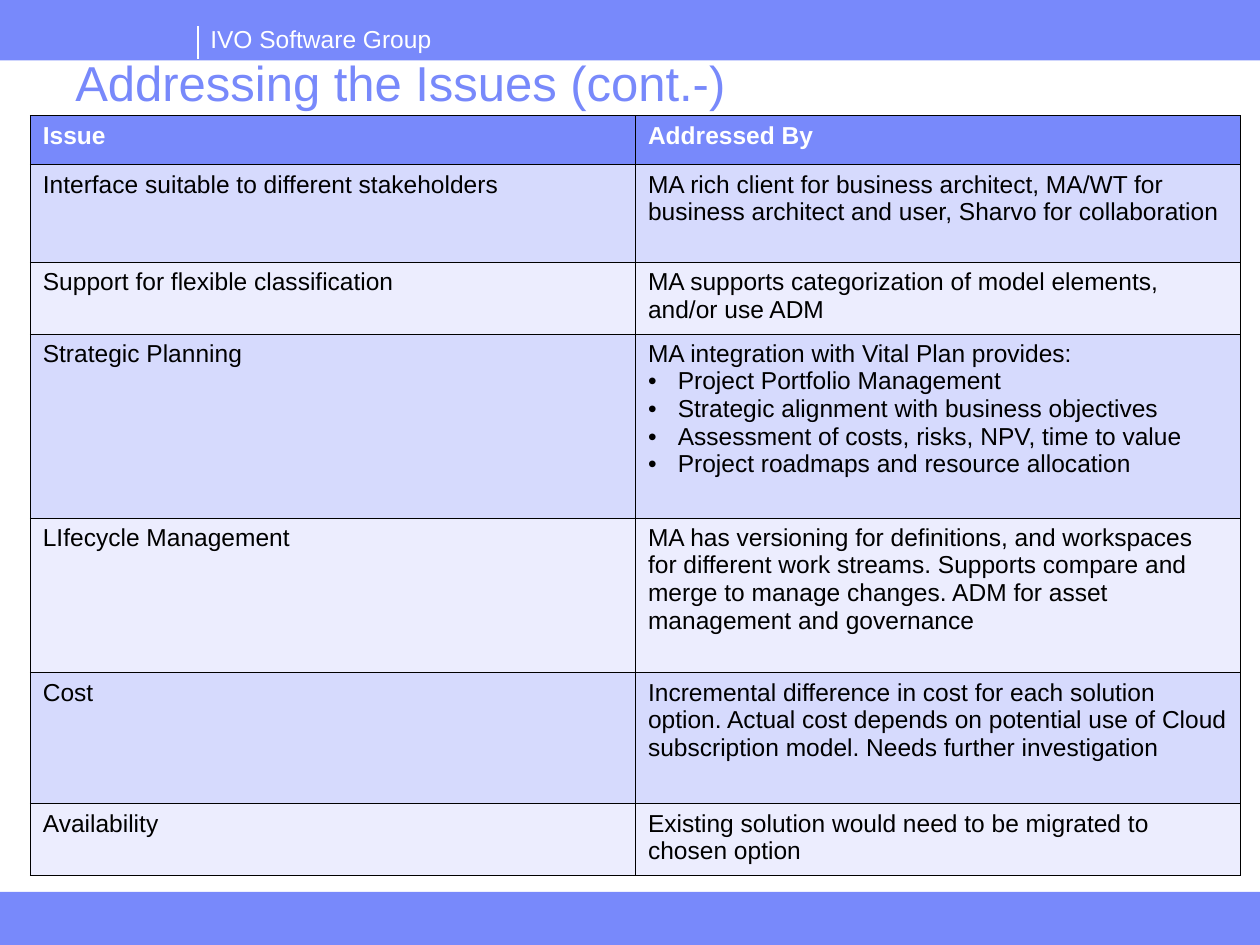
from lxml import etree
from pptx import Presentation
from pptx import util as u
from pptx.dml.color import RGBColor
from pptx.enum import shapes, text
from pptx.oxml.ns import qn

COLORS = {
    "blue": "7889FB",
    "band_dark": "D6DAFD",
    "band_light": "ECEDFE",
    "white": "FFFFFF",
    "black": "000000",
}
FONT = "Arial"
WIDTH, HEIGHT = 25.4, 19.05

HEADER = ["Issue", "Addressed By"]
# Row height in cm, issue, then the paragraphs of the answer
ROWS = [
    (1.96, "Interface suitable to different stakeholders",
     ["MA rich client for business architect, MA/WT for business architect "
      "and user, Sharvo for collaboration"]),
    (1.45, "Support for flexible classification",
     ["MA supports categorization of model elements, and/or use ADM"]),
    (3.71, "Strategic Planning",
     ["MA integration with Vital Plan provides:",
      "• Project Portfolio Management",
      "• Strategic alignment with business objectives",
      "• Assessment of costs, risks, NPV, time to value",
      "• Project roadmaps and resource allocation"]),
    (3.12, "LIfecycle Management",
     ["MA has versioning for definitions, and workspaces for different work "
      "streams. Supports compare and merge to manage changes. ADM for asset "
      "management and governance"]),
    (2.64, "Cost",
     ["Incremental difference in cost for each solution option. Actual cost "
      "depends on potential use of Cloud subscription model. Needs further "
      "investigation"]),
    (1.45, "Availability",
     ["Existing solution would need to be migrated to chosen option"]),
]


def rgb(name):
    return RGBColor.from_string(COLORS[name])


def write(p, words, size=14, color="black", bold=False, spacing=None):
    """Fill a paragraph; a leading bullet sign becomes a real bullet."""
    if words.startswith("• "):
        words = words[2:]
        pPr = p._p.get_or_add_pPr()
        indent = u.Cm(0.6)
        pPr.set("marL", str(indent))
        pPr.set("indent", str(-indent))
        etree.SubElement(pPr, qn("a:buFont"), typeface=FONT)
        etree.SubElement(pPr, qn("a:buChar"), char="•")
    if spacing:
        p.line_spacing = spacing
    r = p.add_run()
    r.text = words
    r.font.name, r.font.size, r.font.bold = FONT, u.Pt(size), bold
    r.font.color.rgb = rgb(color)


class SlideBuilder:
    def __init__(self, prs):
        self.s = prs.slides.add_slide(prs.slide_layouts[6])

    def bar(self, top, height):
        sp = self.s.shapes.add_shape(shapes.MSO_SHAPE.RECTANGLE, 0, u.Cm(top),
                                     u.Cm(WIDTH), u.Cm(height))
        sp.shadow.inherit = False
        sp.fill.solid()
        sp.fill.fore_color.rgb = rgb("blue")
        sp.line.fill.background()

    def label(self, words, left, top, width, height, wrap=True, **fmt):
        sp = self.s.shapes.add_textbox(*map(u.Cm, (left, top, width, height)))
        tf = sp.text_frame
        tf.word_wrap = wrap
        tf.vertical_anchor = text.MSO_ANCHOR.TOP
        write(tf.paragraphs[0], words, **fmt)

    def rule(self, x, top, bottom):
        ln = self.s.shapes.add_connector(shapes.MSO_CONNECTOR.STRAIGHT,
                                         *map(u.Cm, (x, top, x, bottom)))
        ln.line.color.rgb = rgb("white")
        ln.line.width = u.Pt(0.75)
        etree.SubElement(ln._element.spPr, qn("a:effectLst"))

    def cell(self, cell, paragraphs, fill, **fmt):
        cell.fill.solid()
        cell.fill.fore_color.rgb = rgb(fill)
        tf = cell.text_frame
        for i, words in enumerate(paragraphs):
            write(tf.add_paragraph() if i else tf.paragraphs[0], words, **fmt)
        # Borders come before the fill in the cell properties
        tcPr = cell._tc.get_or_add_tcPr()
        for i, side in enumerate("LRTB"):
            ln = etree.Element(qn(f"a:ln{side}"), w=str(u.Pt(0.45)))
            line_fill = etree.SubElement(ln, qn("a:solidFill"))
            etree.SubElement(line_fill, qn("a:srgbClr"), val=COLORS["black"])
            tcPr.insert(i, ln)

    def table(self, left, top, col_width, header_height):
        heights = [header_height] + [row[0] for row in ROWS]
        table = self.s.shapes.add_table(
            len(heights), 2, u.Cm(left), u.Cm(top),
            u.Cm(2 * col_width), u.Cm(sum(heights))).table
        for col in table.columns:
            col.width = u.Cm(col_width)
        for row, height in zip(table.rows, heights):
            row.height = u.Cm(height)
        for c, words in enumerate(HEADER):
            self.cell(table.cell(0, c), [words], "blue",
                      color="white", bold=True)
        for i, (_, issue, answer) in enumerate(ROWS, start=1):
            fill = "band_dark" if i % 2 else "band_light"
            self.cell(table.cell(i, 0), [issue], fill)
            self.cell(table.cell(i, 1), answer, fill)


def main():
    prs = Presentation()
    prs.slide_width, prs.slide_height = u.Cm(WIDTH), u.Cm(HEIGHT)
    b = SlideBuilder(prs)

    # Header and footer bands
    b.bar(0, 1.22)
    b.bar(17.98, 1.07)
    b.label("IVO Software Group", 3.99, 0.36, 4.98, 0.86, wrap=False,
            color="white")
    b.rule(3.99, 0.53, 1.19)

    # Title
    b.label("Addressing the Issues (cont.-)", 1.27, 1.07, 22.86, 1.57,
            size=28, color="blue", spacing=0.9)

    # Issues and answers
    b.table(0.61, 2.33, col_width=12.2, header_height=0.99)

    prs.save("out.pptx")


if __name__ == "__main__":
    main()
